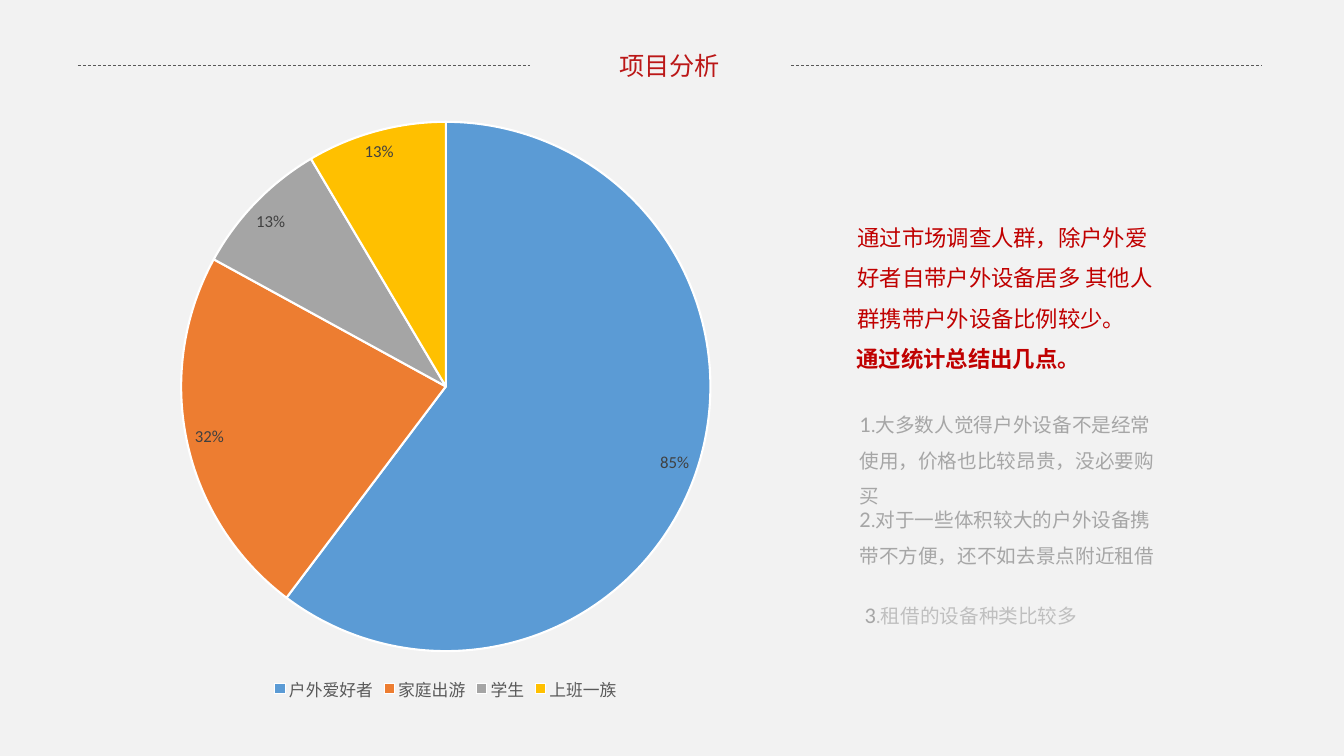
from dataclasses import dataclass

from lxml.etree import SubElement
from pptx import Presentation
from pptx.chart.data import CategoryChartData
from pptx.dml.color import RGBColor
from pptx.enum.chart import XL_CHART_TYPE, XL_LABEL_POSITION, XL_LEGEND_POSITION
from pptx.enum.dml import MSO_LINE
from pptx.enum.shapes import MSO_CONNECTOR
from pptx.enum.text import MSO_AUTO_SIZE, PP_ALIGN
from pptx.oxml.ns import qn
from pptx.util import Cm, Pt


@dataclass(frozen=True)
class Theme:
    background: str = "F2F2F2"
    title: str = "BB1717"
    summary: str = "C00000"
    point: str = "A6A6A6"
    faint_point: str = "BFBFBF"
    rule: str = "595959"
    chart: str = "000000"
    label: str = "404040"
    slice_edge: str = "FFFFFF"
    slices: tuple = ("5B9BD5", "ED7D31", "A5A5A5", "FFC000")
    title_font: str = "Arial"
    body_font: str = "Calibri"
    title_size: int = 18
    summary_size: int = 16
    point_size: int = 14
    label_size: int = 12
    chart_size: int = 10


theme = Theme()


def style(font, size, color, name=theme.body_font, bold=False):
    font.name = name
    font.size = Pt(size)
    font.bold = bold
    font.color.rgb = RGBColor.from_string(color)


def add_text(left, top, width, height, text="", wrap=True, spacing=None):
    box = slide.shapes.add_textbox(Cm(left), Cm(top), Cm(width), Cm(height))
    frame = box.text_frame
    frame.word_wrap = wrap
    frame.auto_size = MSO_AUTO_SIZE.SHAPE_TO_FIT_TEXT
    paragraph = frame.paragraphs[0]
    if text:
        paragraph.text = text
    if spacing:
        paragraph.line_spacing = spacing
    return paragraph


presentation = Presentation()
presentation.slide_width = Cm(33.87)
presentation.slide_height = Cm(19.05)
slide = presentation.slides.add_slide(presentation.slide_layouts[6])
slide.background.fill.solid()
slide.background.fill.fore_color.rgb = RGBColor.from_string(theme.background)

title = add_text(15.34, 1.14, 3.07, 1.02, "项目分析", wrap=False)
title.alignment = PP_ALIGN.CENTER
style(title.font, theme.title_size, theme.title, theme.title_font)

for start, end in [(1.96, 13.36), (19.94, 31.8)]:
    rule = slide.shapes.add_connector(
        MSO_CONNECTOR.STRAIGHT, Cm(start), Cm(1.65), Cm(end), Cm(1.65))
    rule.line.color.rgb = RGBColor.from_string(theme.rule)
    rule.line.width = Pt(0.5)
    rule.line.dash_style = MSO_LINE.DASH
    SubElement(rule._element.spPr, qn("a:effectLst"))

audience = CategoryChartData()
audience.categories = ["户外爱好者", "家庭出游", "学生", "上班一族"]
audience.add_series("Series 1", [8.5, 3.2, 1.2, 1.2])
pie = slide.shapes.add_chart(
    XL_CHART_TYPE.PIE, Cm(-0.05), Cm(2.72), Cm(22.57), Cm(15.06), audience).chart
style(pie.font, theme.chart_size, theme.chart)
pie.has_title = False
pie.has_legend = True
pie.legend.position = XL_LEGEND_POSITION.BOTTOM
pie.legend.include_in_layout = False
style(pie.legend.font, theme.label_size, theme.rule)

plot = pie.plots[0]
plot.vary_by_categories = True
crowd = plot.series[0]
crowd.data_labels.show_value = True
crowd.data_labels.position = XL_LABEL_POSITION.BEST_FIT
style(crowd.data_labels.font, theme.label_size, theme.label)

shares = ["85%", "32%", "13%", "13%"]
for index, (color, share) in enumerate(zip(theme.slices, shares)):
    wedge = crowd.points[index]
    wedge.format.fill.solid()
    wedge.format.fill.fore_color.rgb = RGBColor.from_string(color)
    wedge.format.line.color.rgb = RGBColor.from_string(theme.slice_edge)
    wedge.format.line.width = Pt(1.5)
    caption = wedge.data_label.text_frame.paragraphs[0].add_run()
    caption.text = share
    style(caption.font, theme.label_size, theme.label)
    wedge.data_label.position = XL_LABEL_POSITION.BEST_FIT

summary = add_text(
    21.36, 5.19, 7.98, 3.33,
    "通过市场调查人群，除户外爱好者自带户外设备居多 其他人群携带户外设备比例较少。",
    spacing=1.5)
style(summary.font, theme.summary_size, theme.summary)

conclusion = add_text(21.34, 8.57, 6.4, 0.94, "通过统计总结出几点。")
style(conclusion.font, theme.summary_size, theme.summary, bold=True)

findings = [
    (21.41, 9.88, 8.33, 2.18, theme.point,
     ".大多数人觉得户外设备不是经常使用，价格也比较昂贵，没必要购买"),
    (21.41, 12.27, 8.33, 2.18, theme.point,
     ".对于一些体积较大的户外设备携带不方便，还不如去景点附近租借"),
    (21.54, 14.68, 7.19, 1.27, theme.faint_point, ".租借的设备种类比较多"),
]
for number, (left, top, width, height, color, text) in enumerate(findings, 1):
    finding = add_text(left, top, width, height, spacing=1.5)
    for part, size, shade in [(str(number), theme.summary_size, theme.point),
                              (text, theme.point_size, color)]:
        run = finding.add_run()
        run.text = part
        style(run.font, size, shade)

presentation.save("out.pptx")
